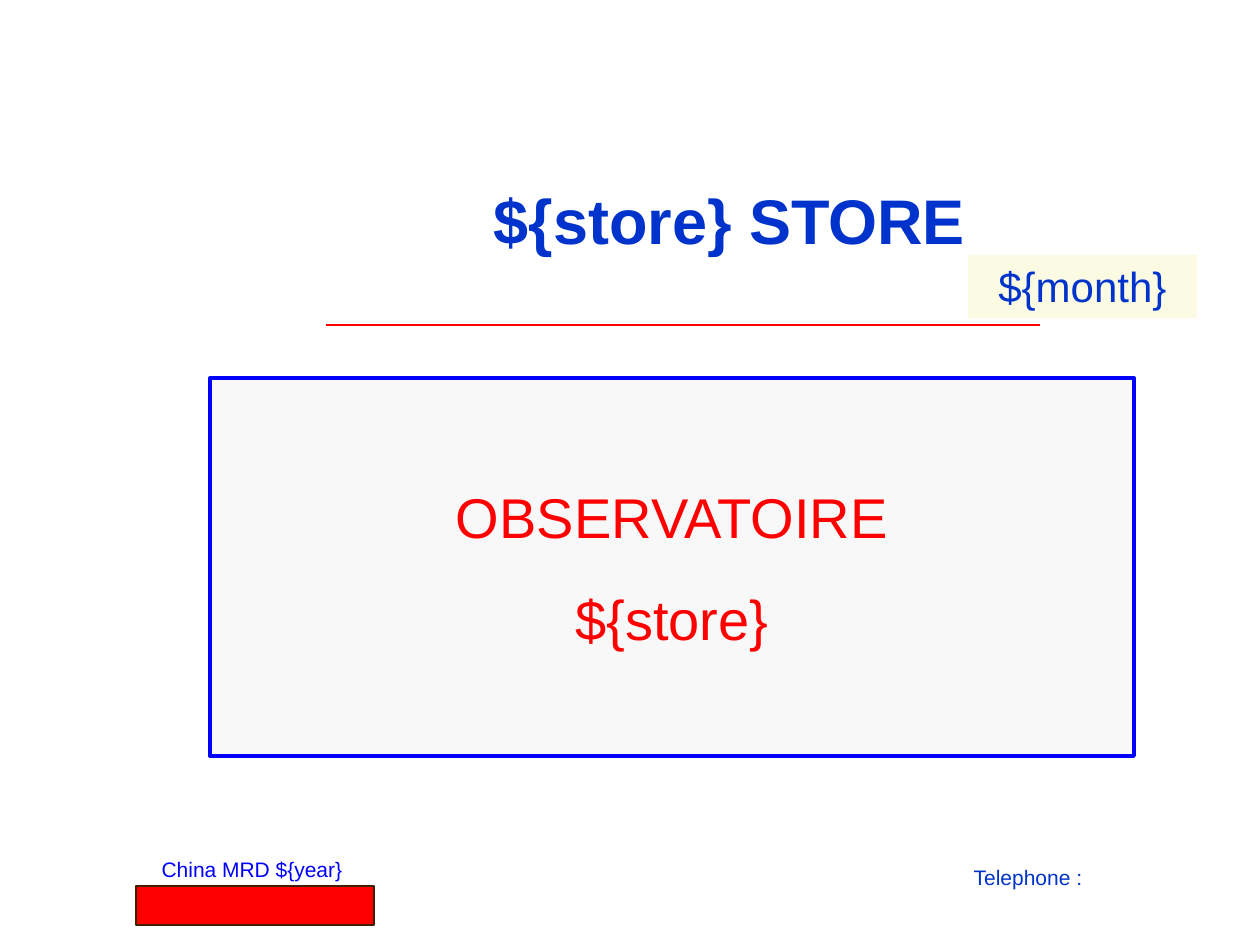
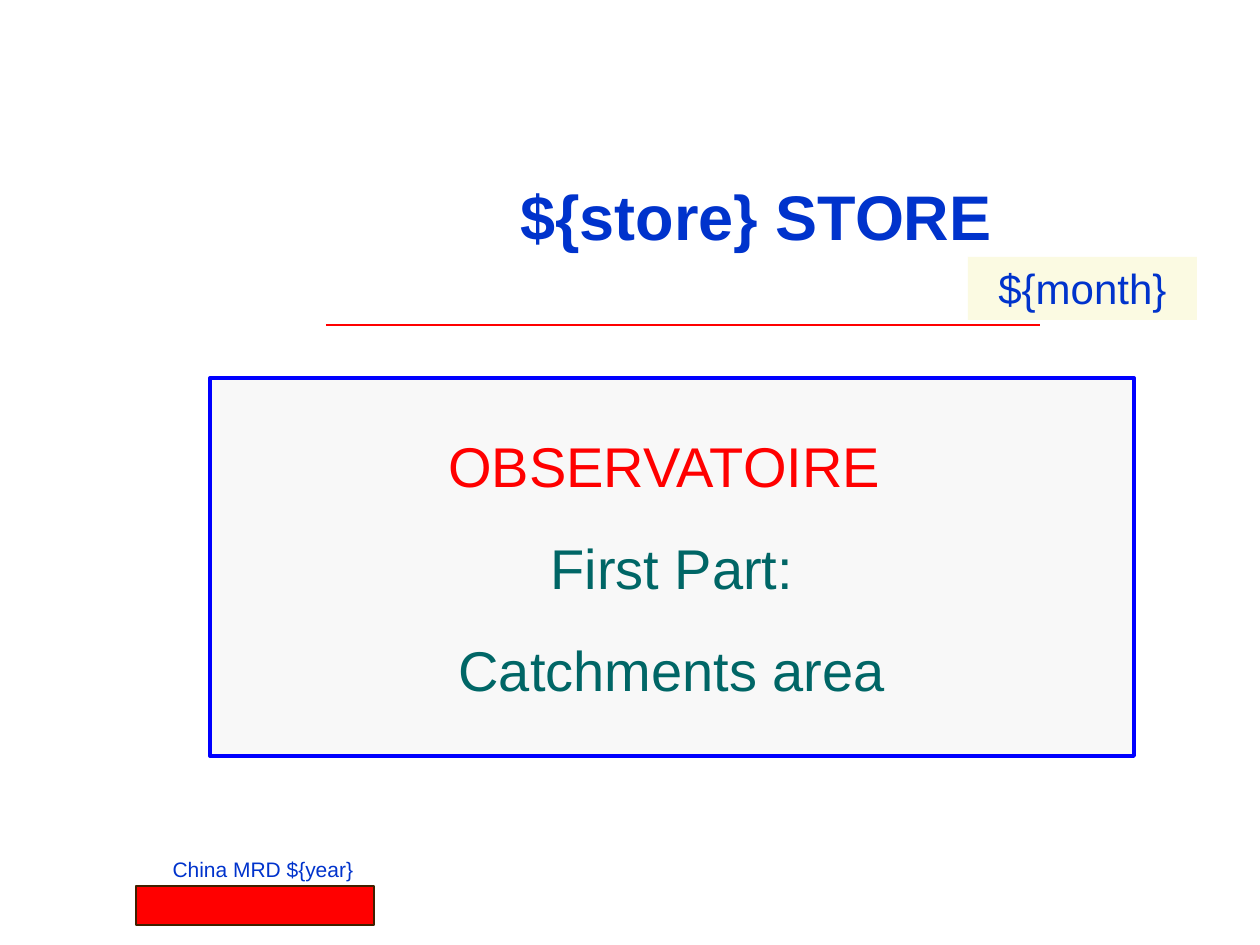
import pptx
import pptx.util
import pptx.dml.color
import pptx.enum.shapes
import pptx.enum.text
import pptx.oxml.ns
import lxml.etree
from dataclasses import dataclass

ANCHOR = pptx.enum.text.MSO_ANCHOR


@dataclass(frozen=True)
class Theme:
    font: str = "Arial"
    navy: str = "0033CC"
    blue: str = "0000FF"
    red: str = "FF0000"
    teal: str = "006666"
    cream: str = "FBFAE2"
    panel: str = "F8F8F8"
    edge: str = "402000"
    title: int = 36
    heading: int = 32
    month: int = 24
    footer: int = 12


T = Theme()
EMU_PER_PX = 914400 / 126
INSET_X, INSET_Y = 13, 6
RULE = (326, 325, 1040, 325)
BAR = (136, 886, 238, 39)
PANEL = (210, 378, 924, 378)

SLIDES = [
    {
        "title": ("${store} STORE", (199, 105, 1061, 164)),
        "month": ("${month}", (968, 255, 229, 63)),
        "panel": [("OBSERVATOIRE", T.red), ("${store}", T.red)],
        "footers": [
            ("China MRD ${year}", T.blue, (105, 851, 294, 38)),
            ("Telephone :", T.navy, (880, 859, 296, 38)),
        ],
    },
    {
        "title": ("${store} STORE", (252, 101, 1008, 164)),
        "month": ("${month}", (968, 257, 229, 63)),
        "panel": [("OBSERVATOIRE ", T.red), ("First Part:", T.teal), ("Catchments area", T.teal)],
        "footers": [("China MRD ${year}", T.navy, (95, 851, 336, 38))],
    },
]


def px(n):
    return pptx.util.Emu(round(n * EMU_PER_PX))


def rgb(color):
    return pptx.dml.color.RGBColor.from_string(color)


def write(sp, lines, size, bold=False, anchor=ANCHOR.TOP, wrap=True, gap=0):
    tf = sp.text_frame
    tf.word_wrap = wrap
    tf.auto_size = pptx.enum.text.MSO_AUTO_SIZE.NONE
    tf.vertical_anchor = anchor
    tf.margin_left = tf.margin_right = px(INSET_X)
    tf.margin_top = tf.margin_bottom = px(INSET_Y)
    for i, (text, color) in enumerate(lines):
        p = tf.add_paragraph() if i else tf.paragraphs[0]
        p.alignment = pptx.enum.text.PP_ALIGN.CENTER
        if i:
            p.space_before = pptx.util.Pt(gap)
        r = p.add_run()
        r.text = text
        r.font.name = T.font
        r.font.size = pptx.util.Pt(size)
        r.font.bold = bold
        r.font.color.rgb = rgb(color)


def add_title(slide, text, box):
    sp = slide.shapes.title
    sp.left, sp.top, sp.width, sp.height = map(px, box)
    write(sp, [(text, T.navy)], T.title, bold=True, anchor=ANCHOR.BOTTOM)
    sp.text_frame.margin_bottom = px(2 * INSET_Y)


def add_rect(slide, box, fill, line=None, width=0):
    sp = slide.shapes.add_shape(pptx.enum.shapes.MSO_SHAPE.RECTANGLE, *map(px, box))
    sp.shadow.inherit = False
    sp.fill.solid()
    sp.fill.fore_color.rgb = rgb(fill)
    if line:
        sp.line.color.rgb = rgb(line)
        sp.line.width = pptx.util.Pt(width)
    else:
        sp.line.fill.background()
    return sp


def add_rule(slide):
    line = slide.shapes.add_connector(pptx.enum.shapes.MSO_CONNECTOR.STRAIGHT, *map(px, RULE))
    line.line.color.rgb = rgb(T.red)
    line.line.width = pptx.util.Pt(1.5)
    lxml.etree.SubElement(line._element.spPr, pptx.oxml.ns.qn("a:effectLst"))


def build_slide(prs, content):
    slide = prs.slides.add_slide(prs.slide_layouts[5])
    add_title(slide, *content["title"])
    month, month_box = content["month"]
    write(add_rect(slide, month_box, T.cream), [(month, T.navy)], T.month)
    add_rule(slide)
    add_rect(slide, BAR, T.red, T.edge, 0.75)
    panel = add_rect(slide, PANEL, T.panel, T.blue, 2.25)
    write(panel, content["panel"], T.heading, anchor=ANCHOR.MIDDLE, wrap=False, gap=20)
    for text, color, box in content["footers"]:
        write(slide.shapes.add_textbox(*map(px, box)), [(text, color)], T.footer)


def main():
    prs = pptx.Presentation()
    prs.slide_width, prs.slide_height = px(1260), px(945)
    for content in SLIDES:
        build_slide(prs, content)
    prs.save("out.pptx")


if __name__ == "__main__":
    main()
